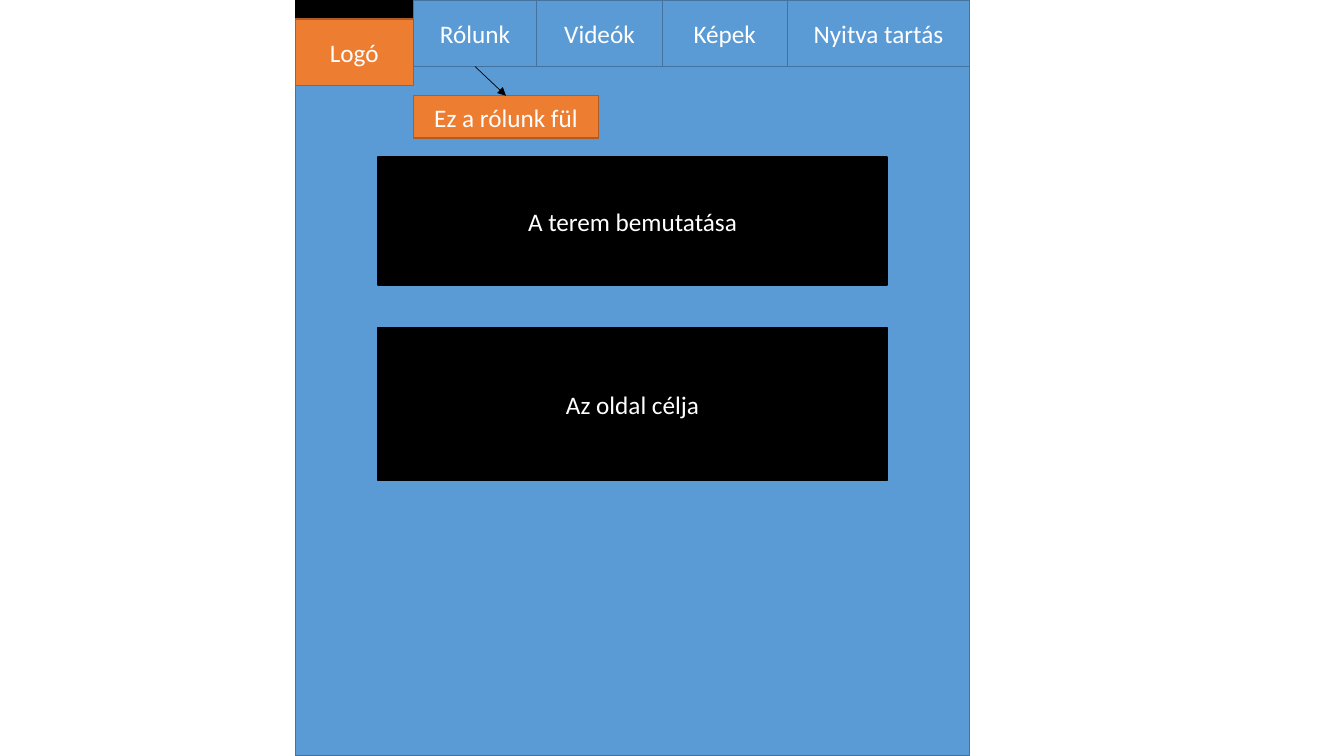
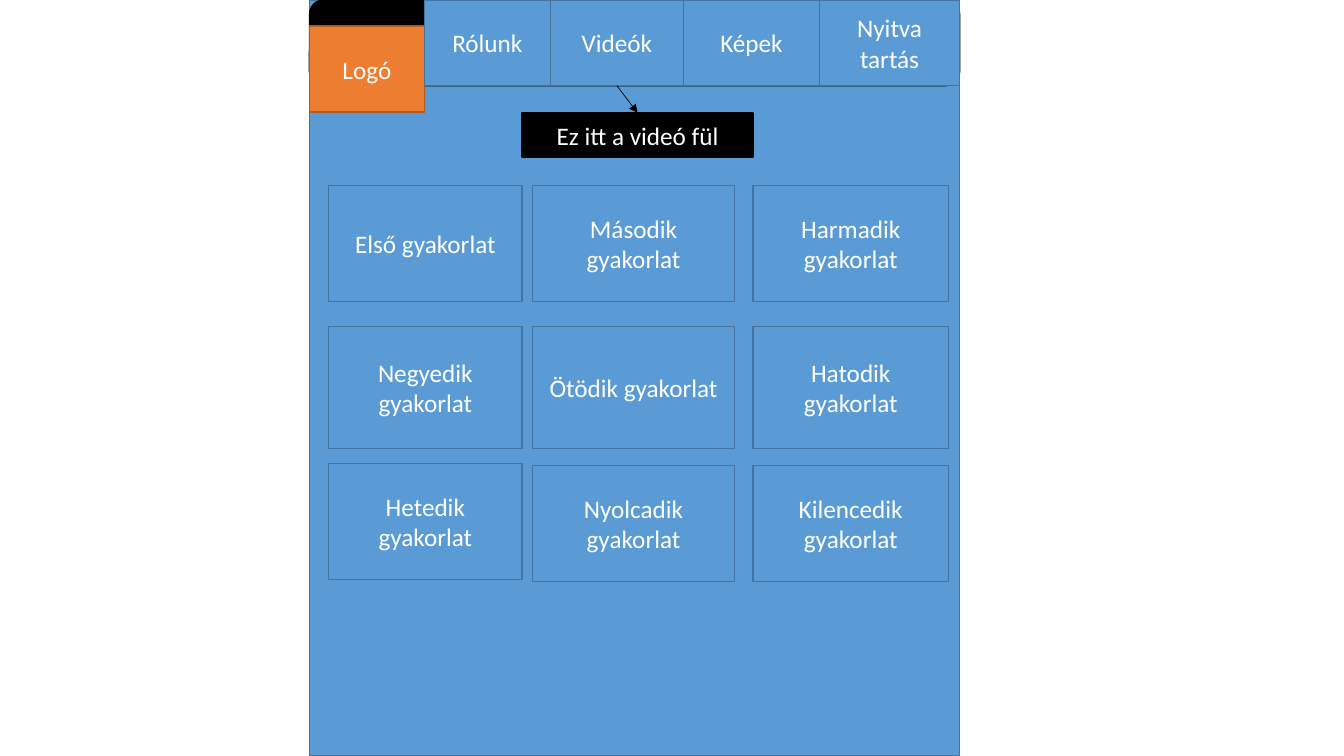
from itertools import pairwise

from lxml import etree
from pptx import Presentation
from pptx import util as u
from pptx.dml.color import RGBColor
from pptx.enum import shapes, text
from pptx.oxml import ns

BLUE = RGBColor(0x5B, 0x9B, 0xD5)
BLUE_EDGE = RGBColor(0x43, 0x73, 0x9E)
ORANGE = RGBColor(0xED, 0x7D, 0x31)
ORANGE_EDGE = RGBColor(0xAF, 0x5C, 0x24)
BLACK = RGBColor(0, 0, 0)
WHITE = RGBColor(0xFF, 0xFF, 0xFF)

PANEL = (BLUE, BLUE_EDGE)
ACCENT = (ORANGE, ORANGE_EDGE)
DARK = (BLACK, BLACK)

CELL = u.Inches(0.1)  # side of one square grid cell
COLUMNS, ROWS = 133.33, 75
TABS = ("Rólunk", "Videók", "Képek", "Nyitva tartás")
RECT = shapes.MSO_SHAPE.RECTANGLE
ROUNDED = shapes.MSO_SHAPE.ROUNDED_RECTANGLE
BOTTOM, TOP = 2, 0  # connection sites of a rectangle


def grid(cells):
    """Turn a count of grid cells into a length."""
    return u.Emu(round(cells * CELL))


class Wireframe:
    """Draws website mock-ups, one page at a time, in a shared style."""

    font, size = "Calibri", u.Pt(18)

    def __init__(self):
        """Open an empty wide deck."""
        self.deck = Presentation()
        self.deck.slide_width, self.deck.slide_height = grid(COLUMNS), grid(ROWS)
        self.page = None

    def box(self, left, top, width, height, style, label="", preset=RECT):
        """Add a filled, outlined box with an optional centred label."""
        box = self.page.shapes.add_shape(preset, *map(grid, (left, top, width, height)))
        fill, edge = style
        box.shadow.inherit = False
        box.fill.solid()
        box.fill.fore_color.rgb = fill
        box.line.color.rgb = edge
        box.line.width = u.Pt(1)
        if label:
            box.text_frame.vertical_anchor = text.MSO_ANCHOR.MIDDLE
            para = box.text_frame.paragraphs[0]
            para.alignment = text.PP_ALIGN.CENTER
            span = para.add_run()
            span.text = label
            span.font.name, span.font.size = self.font, self.size
            span.font.color.rgb = WHITE
        return box

    def arrow(self, start, end):
        """Point from the bottom of one box to the top of another."""
        arrow = self.page.shapes.add_connector(shapes.MSO_CONNECTOR.STRAIGHT, 0, 0, 0, 0)
        arrow.begin_connect(start, BOTTOM)
        arrow.end_connect(end, TOP)
        arrow.line.color.rgb = BLACK
        arrow.line.width = u.Pt(0.5)
        outline = arrow.line._get_or_add_ln()
        etree.SubElement(outline, ns.qn("a:tailEnd"), type="triangle")
        etree.SubElement(arrow._element.spPr, ns.qn("a:effectLst"))

    def site(self, left, edges, bar, logo_top, preset=RECT):
        """Start a page with site body, menu bar, logo and tabs; return the tabs."""
        self.page = self.deck.slides.add_slide(self.deck.slide_layouts[6])
        width = edges[-1] - left
        self.box(left, 0, width, ROWS, PANEL)
        self.box(left, 0, width, bar, DARK, preset=preset)
        self.box(left, logo_top, edges[0] - left, bar, ACCENT, "Logó")
        return {
            name: self.box(start, 0, end - start, bar, PANEL, name)
            for name, (start, end) in zip(TABS, pairwise(edges))
        }

    def callout(self, tab, label, place, style):
        """Add a note that a menu tab points to."""
        self.arrow(tab, self.box(*place, style, label))


def about_page(frame):
    """Draw the page behind the first tab."""
    tabs = frame.site(29.3, (41, 53.25, 65.7, 78.1, 96.2), bar=6.6, logo_top=1.9)
    frame.callout(tabs["Rólunk"], "Ez a rólunk fül", (41, 9.5, 18.4, 4.2), ACCENT)
    for label, top, height in (
        ("A terem bemutatása", 15.6, 12.7),
        ("Az oldal célja", 32.5, 15.2),
    ):
        frame.box(37.5, top, 50.5, height, DARK, label)


def video_page(frame):
    """Draw the video page with its three by three exercise tiles."""
    tabs = frame.site(30.7, (42.1, 54.6, 67.8, 81.3, 95.2), bar=8.5, logo_top=2.6,
                      preset=ROUNDED)
    frame.callout(tabs["Videók"], "Ez itt a videó fül", (51.8, 11.2, 22.9, 4.4), DARK)
    columns = ((32.6, 19.2), (52.8, 20.1), (74.7, 19.4))
    rows = (
        (("Első", "Második", "Harmadik"), (18.4, 18.4, 18.4), 11.5),
        (("Negyedik", "Ötödik", "Hatodik"), (32.4, 32.4, 32.4), 12.1),
        (("Hetedik", "Nyolcadik", "Kilencedik"), (46, 46.2, 46.2), 11.5),
    )
    for ordinals, tops, height in rows:
        for ordinal, top, (left, width) in zip(ordinals, tops, columns):
            frame.box(left, top, width, height, PANEL, f"{ordinal} gyakorlat")


frame = Wireframe()
about_page(frame)
video_page(frame)
frame.deck.save("out.pptx")
